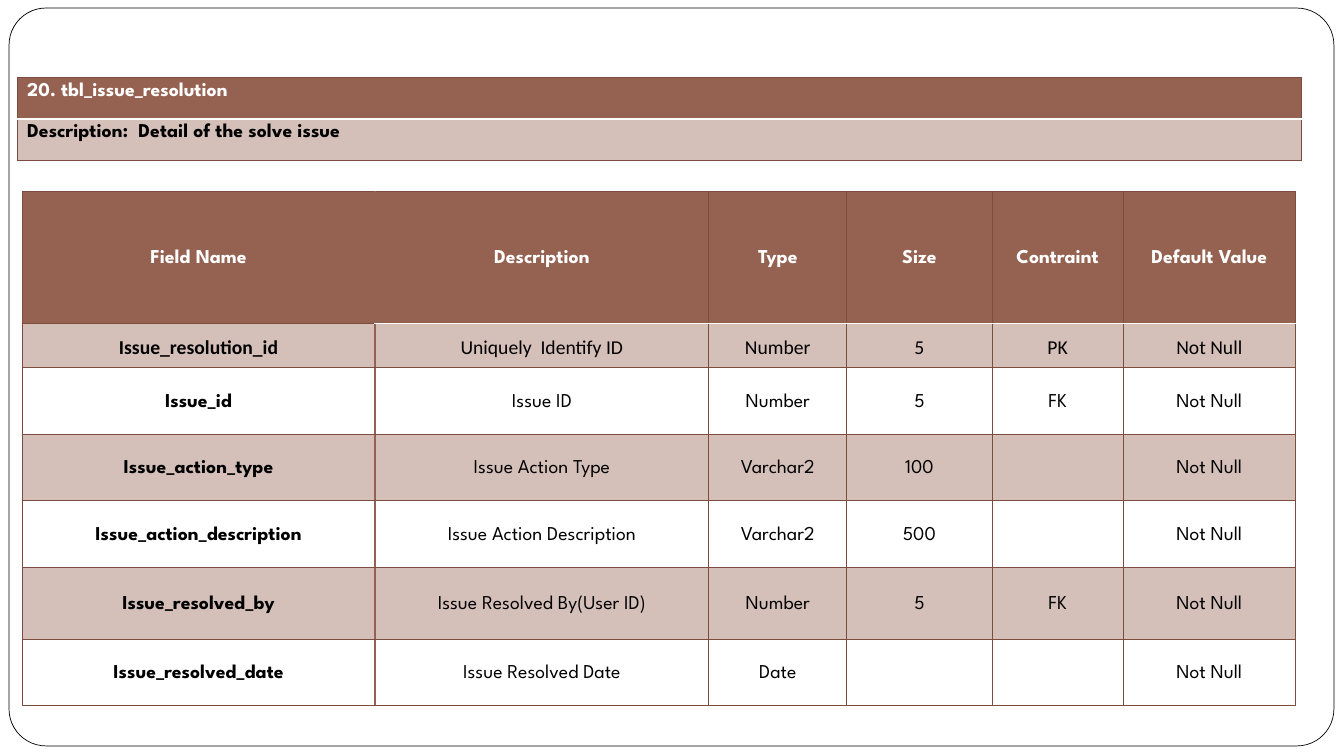
from lxml import etree
from pptx import Presentation
from pptx import util as u
from pptx.dml.color import RGBColor
from pptx.enum import shapes, text
from pptx.oxml import ns

PX = 9144
WHITE = RGBColor(0xFF, 0xFF, 0xFF)
BLACK = RGBColor(0, 0, 0)
BROWN = RGBColor(0x95, 0x62, 0x51)
PALE = RGBColor(0xD5, 0xC0, 0xB9)
EDGE = RGBColor(0x7A, 0x4D, 0x3E)
FONT = "League Spartan"
COLS = [350, 331, 137, 144, 130, 171]
ROWS = [131, 44, 66, 66, 66, 71, 66]
FIELDS = [
    ["Field Name", "Description", "Type", "Size", "Contraint", "Default Value"],
    ["Issue_resolution_id", "Uniquely  Identify ID", "Number", "5", "PK", "Not Null"],
    ["Issue_id", "Issue ID", "Number", "5", "FK", "Not Null"],
    ["Issue_action_type", "Issue Action Type", "Varchar2", "100", "", "Not Null"],
    ["Issue_action_description", "Issue Action Description", "Varchar2", "500", "", "Not Null"],
    ["Issue_resolved_by", "Issue Resolved By(User ID)", "Number", "5", "FK", "Not Null"],
    ["Issue_resolved_date", "Issue Resolved Date", "Date", "", "", "Not Null"],
]


def px(n):
    return u.Emu(n * PX)


def write(cell, words, font=FONT, size=14, color=BLACK, bold=False, align=None, space=None):
    para = cell.text_frame.paragraphs[0]
    para.alignment = align
    para.line_spacing = space
    if words:
        run = para.add_run()
        run.text = words
        run.font.name = font
        run.font.size = u.Pt(size)
        run.font.color.rgb = color
        run.font.bold = bold


def edge(cell, **sides):
    props = cell._tc.get_or_add_tcPr()
    for side in "LRTB":
        color, width = sides.get(side, (EDGE, 0.75))
        line = etree.SubElement(props, ns.qn("a:ln" + side), w=str(u.Pt(width)))
        fill = etree.SubElement(line, ns.qn("a:solidFill"))
        etree.SubElement(fill, ns.qn("a:srgbClr"), val=str(color))


def paint(cell, color):
    if color is None:
        cell.fill.background()
    else:
        cell.fill.solid()
        cell.fill.fore_color.rgb = color


def grid(slide, left, top, cols, rows):
    frame = slide.shapes.add_table(len(rows), len(cols), px(left), px(top),
                                   px(sum(cols)), px(sum(rows)))
    table = frame.table
    table.horz_banding = False
    for col, width in zip(table.columns, cols):
        col.width = px(width)
    for row, height in zip(table.rows, rows):
        row.height = px(height)
    return table


def panel(slide, left, top, width, height):
    card = slide.shapes.add_shape(shapes.MSO_SHAPE.ROUNDED_RECTANGLE,
                                  px(left), px(top), px(width), px(height))
    card.adjustments[0] = 0.05
    card.shadow.inherit = False
    card.fill.solid()
    card.fill.fore_color.rgb = WHITE
    card.line.color.rgb = BLACK
    card.line.width = u.Pt(0.5)


def banner(slide, left, top, width, height):
    table = grid(slide, left, top, [width], [height // 2] * 2)
    head, note = table.cell(0, 0), table.cell(1, 0)
    seam = (WHITE, 1)
    edge(head, B=seam)
    edge(note, T=seam)
    paint(head, BROWN)
    paint(note, PALE)
    write(head, "20. tbl_issue_resolution", color=WHITE, bold=True)
    write(note, "Description:  Detail of the solve issue", bold=True)


def schema(slide, left, top):
    table = grid(slide, left, top, COLS, ROWS)
    for r, row in enumerate(FIELDS):
        for c, words in enumerate(row):
            cell = table.cell(r, c)
            cell.vertical_anchor = text.MSO_ANCHOR.MIDDLE
            cell.margin_left = cell.margin_right = px(7)
            cell.margin_top = cell.margin_bottom = 0
            sides = {}
            if c < 2:
                sides["R" if c == 0 else "L"] = (BROWN, 1)
            if r < 2 and c > 0:
                sides["B" if r == 0 else "T"] = (WHITE, 1)
            edge(cell, **sides)
            paint(cell, BROWN if r == 0 else PALE if r % 2 else None)
            write(cell, words, font="Calibri" if r == 1 else FONT,
                  color=WHITE if r == 0 else BLACK, bold=r == 0 or c == 0,
                  align=text.PP_ALIGN.CENTER, space=1.15)


def main():
    deck = Presentation()
    deck.slide_width, deck.slide_height = px(1333), px(750)
    slide = deck.slides.add_slide(deck.slide_layouts[6])
    panel(slide, 9, 8, 1314, 732)
    schema(slide, 22, 190)
    banner(slide, 17, 77, 1274, 82)
    deck.save("out.pptx")


if __name__ == "__main__":
    main()
